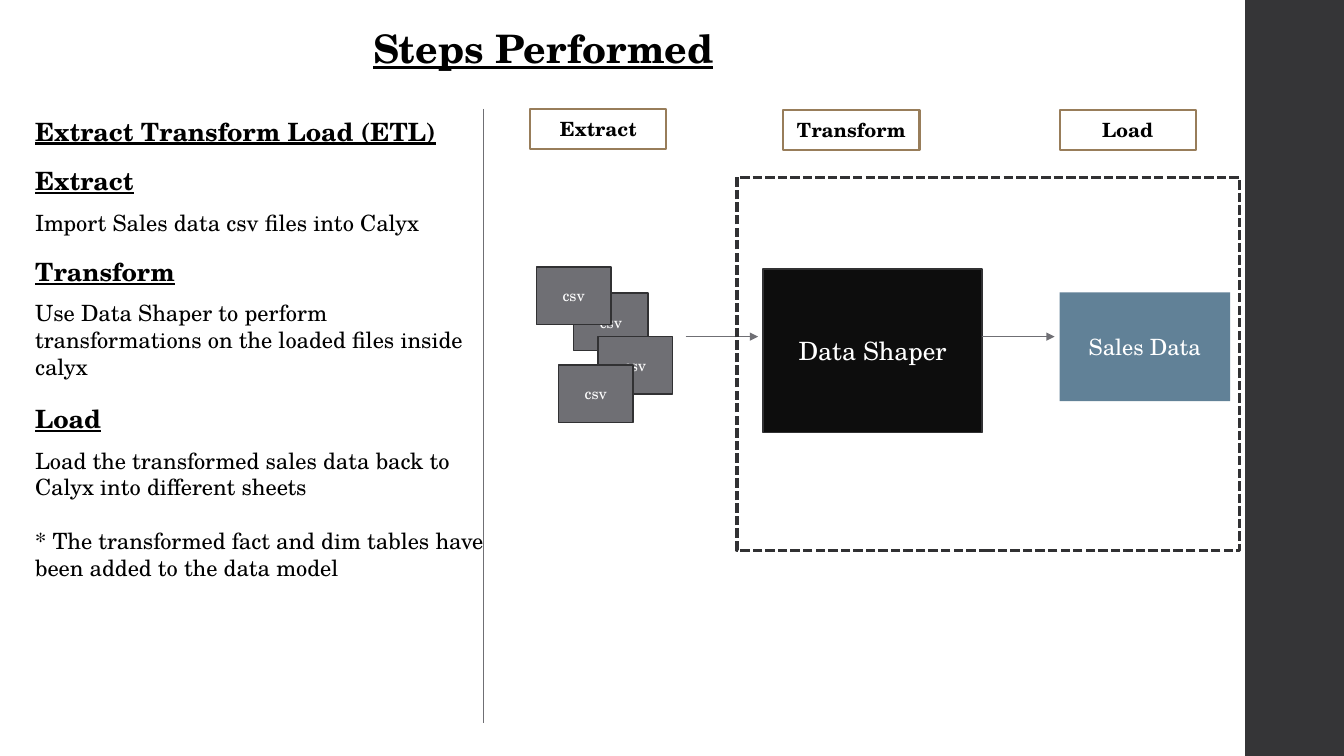
from dataclasses import dataclass

from lxml import etree
from pptx import Presentation
from pptx.dml.color import RGBColor
from pptx.enum.dml import MSO_LINE
from pptx.enum.shapes import MSO_CONNECTOR, MSO_SHAPE
from pptx.enum.text import MSO_ANCHOR, MSO_AUTO_SIZE, PP_ALIGN
from pptx.oxml.ns import qn
from pptx.util import Inches, Pt

RECT = MSO_SHAPE.RECTANGLE
STRAIGHT = MSO_CONNECTOR.STRAIGHT
DASH = MSO_LINE.SQUARE_DOT
LEFT, CENTER = PP_ALIGN.LEFT, PP_ALIGN.CENTER
TOP, MIDDLE = MSO_ANCHOR.TOP, MSO_ANCHOR.MIDDLE
NO_AUTOFIT = MSO_AUTO_SIZE.NONE


@dataclass(frozen=True)
class Theme:
    font: str = "TeX Gyre Schola"
    ink: str = "000000"
    paper: str = "FFFFFF"
    sidebar: str = "353537"
    edge: str = "313133"
    gray: str = "6F6F74"
    black: str = "0D0D0D"
    blue: str = "618197"
    tan: str = "987D5A"
    title: int = 28
    heading: int = 18
    body: int = 16
    label: int = 14
    small: int = 11
    body_gap: float = 9.5
    note_gap: float = 19


THEME = Theme()

STEPS = [  # top, height, heading, paragraphs
    (0.49, 0.81, "Extract", ["Import Sales data csv files into Calyx"]),
    (1.39, 1.35, "Transform",
     ["Use Data Shaper to perform transformations on the loaded files inside calyx"]),
    (2.85, 1.88, "Load",
     ["Load the transformed sales data back to Calyx into different sheets",
      "* The transformed fact and dim tables have been added to the data model"]),
]
STAGES = [(0, 0, "Extract"), (2.51, 0.01, "Transform"), (5.25, 0.01, "Load")]
CSV_OFFSETS = [(0.37, 0.26), (0.61, 0.69), (0.22, 0.97), (0, 0)]


def style(p, size, color=THEME.ink, bold=False, underline=False, align=LEFT):
    p.alignment = align
    for r in p.runs:
        r.font.name = THEME.font
        r.font.size = Pt(size)
        r.font.bold = bold
        r.font.underline = underline
        r.font.color.rgb = RGBColor.from_string(color)


def add_box(slide, x, y, w, h, fill=None, line=None, width=1.1):
    sp = slide.shapes.add_shape(RECT, Inches(x), Inches(y), Inches(w), Inches(h))
    sp.shadow.inherit = False
    if fill:
        sp.fill.solid()
        sp.fill.fore_color.rgb = RGBColor.from_string(fill)
    else:
        sp.fill.background()
    if line:
        sp.line.color.rgb = RGBColor.from_string(line)
        sp.line.width = Pt(width)
    else:
        sp.line.fill.background()
    return sp


def add_label(sp, text, size, color=THEME.paper, bold=False):
    tf = sp.text_frame
    tf.word_wrap = True
    tf.vertical_anchor = MIDDLE
    tf.text = text
    style(tf.paragraphs[0], size, color, bold, align=CENTER)


def add_line(slide, x1, y1, x2, y2, arrow=False):
    line = slide.shapes.add_connector(
        STRAIGHT, Inches(x1), Inches(y1), Inches(x2), Inches(y2))
    line.line.color.rgb = RGBColor.from_string(THEME.gray)
    line.line.width = Pt(0.75)
    if arrow:
        etree.SubElement(line.line._get_or_add_ln(), qn("a:tailEnd"), type="triangle")
    etree.SubElement(line._element.spPr, qn("a:effectLst"))


def add_text(slide, x, y, w, h, heading, paragraphs=()):
    tf = slide.shapes.add_textbox(
        Inches(x), Inches(y), Inches(w), Inches(h)).text_frame
    tf.word_wrap = True
    tf.text = heading
    style(tf.paragraphs[0], THEME.heading, bold=True, underline=True)
    for i, text in enumerate(paragraphs):
        p = tf.add_paragraph()
        p.text = text
        p.space_before = Pt(THEME.note_gap if i else THEME.body_gap)
        style(p, THEME.body)


def place_title(slide, x, y, w, h):
    sp = slide.shapes.title
    sp.left, sp.top, sp.width, sp.height = (Inches(v) for v in (x, y, w, h))
    tf = sp.text_frame
    tf.text = "Steps Performed"
    tf.auto_size = NO_AUTOFIT
    tf.vertical_anchor = TOP
    style(tf.paragraphs[0], THEME.title, bold=True, underline=True)


def add_step_notes(slide, x, y, w):
    add_text(slide, x, y, 5.64, 0.4, "Extract Transform Load (ETL)")
    for top, height, heading, paragraphs in STEPS:
        add_text(slide, x, y + top, w, height, heading, paragraphs)


def add_csv_stack(slide, x, y):
    for dx, dy in CSV_OFFSETS:
        sp = add_box(slide, x + dx, y + dy, 0.74, 0.57, THEME.gray, THEME.edge)
        add_label(sp, "csv", THEME.small)


def add_flow(slide, x, y):
    # Files, query and result, joined by arrows
    add_csv_stack(slide, x + 0.06, y + 1.57)
    arrow_y = y + 2.26
    add_line(slide, x + 1.54, arrow_y, x + 2.26, arrow_y, arrow=True)
    query = add_box(slide, x + 2.31, y + 1.59, 2.17, 1.62, THEME.black, THEME.edge)
    add_label(query, "Data Shaper", THEME.heading)
    add_line(slide, x + 4.48, arrow_y, x + 5.2, arrow_y, arrow=True)
    result = add_box(slide, x + 5.25, y + 1.82, 1.69, 1.08, THEME.blue)
    add_label(result, "Sales Data", THEME.body)

    # Dashed frame around the transform and load stages
    frame = add_box(slide, x + 2.05, y + 0.68, 4.98, 3.7, line=THEME.edge, width=2.25)
    frame.line.dash_style = DASH

    # Stage names
    for dx, dy, name in STAGES:
        sp = add_box(slide, x + dx, y + dy, 1.35, 0.4, line=THEME.tan, width=1.5)
        add_label(sp, name, THEME.label, THEME.ink, bold=True)


def main():
    prs = Presentation()
    prs.slide_width, prs.slide_height = Inches(13.33), Inches(7.5)
    slide = prs.slides.add_slide(prs.slide_layouts.get_by_name("Title Only"))
    add_box(slide, 12.35, 0, 0.98, 7.5, THEME.sidebar)
    place_title(slide, 3.6, 0.19, 3.93, 0.57)
    add_step_notes(slide, 0.25, 1.1, 4.68)
    add_flow(slide, 5.26, 1.08)
    add_line(slide, 4.8, 1.08, 4.8, 7.17)
    prs.save("out.pptx")


if __name__ == "__main__":
    main()
